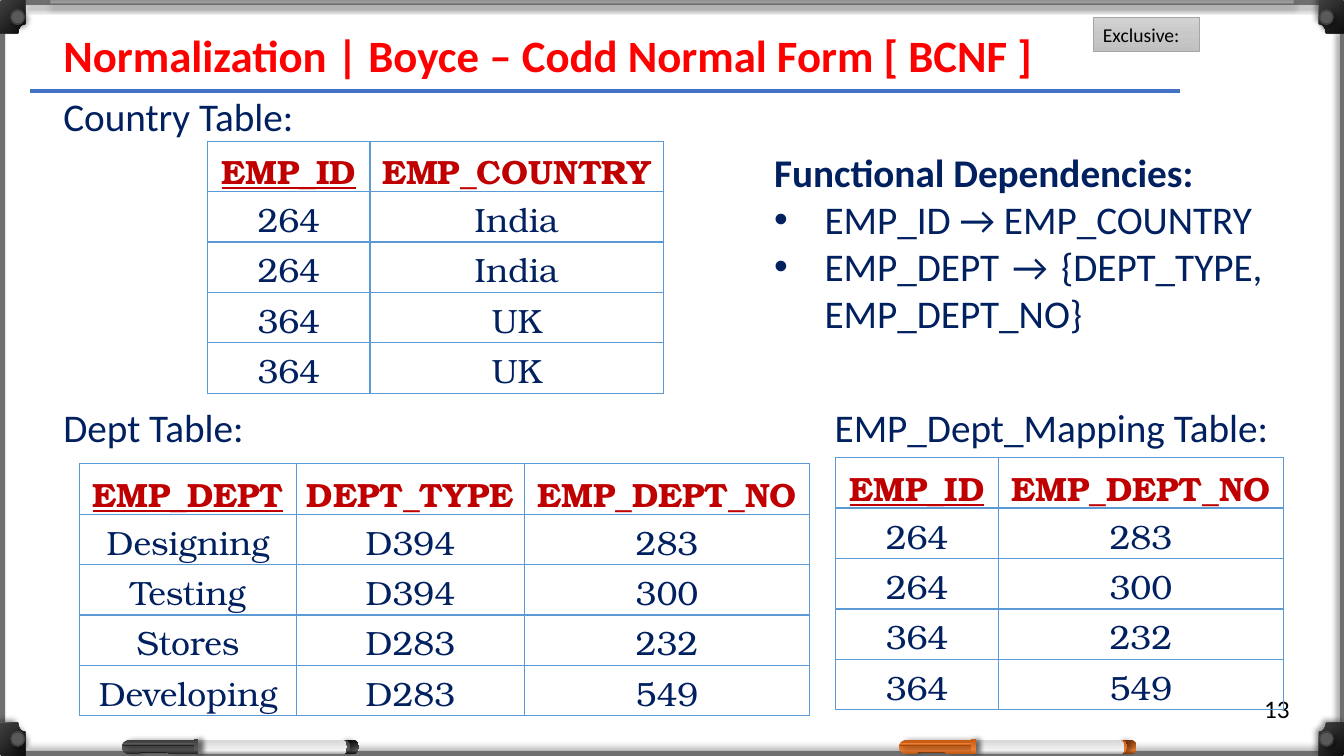
from dataclasses import dataclass
from math import cos, pi, sin

from lxml import etree
from pptx import Presentation, util as u
from pptx.dml.color import RGBColor
from pptx.enum import shapes, text
from pptx.oxml import ns


@dataclass(frozen=True)
class Theme:
    """Colours, fonts and type sizes of the slide."""
    title: str = "FF0000"
    body: str = "002060"
    header: str = "C00000"
    black: str = "000000"
    rule: str = "4472C4"
    grid: str = "5B9BD5"
    frame: str = "706F6F"
    gloss: str = "D9D9D9"
    screw: str = "404040"
    screw_head: str = "595959"
    badge_line: str = "A5A5A5"
    badge: tuple = ((0, "D2D2D2"), (50, "C8C8C8"), (100, "C0C0C0"))
    corner: tuple = ((0, "404040"), (100, "0D0D0D"))
    barrel: tuple = ((8, "D9D9D9"), (74, "F2F2F2"), (100, "A6A6A6"))
    black_pen: tuple = ("0D0D0D", "404040", "595959", "262626")
    orange_pen: tuple = ("843C0B", "C55A11", "ED7D31", "C55A11")
    font: str = "Calibri"
    table_font: str = "TeX Gyre Bonum"
    title_size: int = 32
    body_size: int = 28
    table_size: int = 24
    number_size: int = 18
    badge_size: int = 14


THEME = Theme()
WIDTH, HEIGHT = 13.33, 7.5
KINDS = shapes.MSO_SHAPE


def inches(*lengths):
    """Turn plain numbers into lengths."""
    return [u.Inches(length) for length in lengths]


def add_xml(parent, tag, **attributes):
    """Append a drawing element to its parent."""
    return etree.SubElement(parent, ns.qn(tag), {k: str(v) for k, v in attributes.items()})


def paint(shape, fill, shadow=None, angle=90, alpha=None):
    """Give a shape a solid or gradient fill, no line and an optional shadow angle."""
    if isinstance(fill, str):
        shape.fill.solid()
        shape.fill.fore_color.rgb = RGBColor.from_string(fill)
        if alpha is not None:
            add_xml(next(shape.element.spPr.iter(ns.qn("a:srgbClr"))), "a:alpha", val=alpha * 1000)
    else:
        shape.fill.gradient()
        shape.fill.gradient_angle = 360 - angle
        stops = next(shape.element.spPr.iter(ns.qn("a:gsLst")))
        for stop in list(stops):
            stops.remove(stop)
        for position, color in fill:
            add_xml(add_xml(stops, "a:gs", pos=position * 1000), "a:srgbClr", val=color)
    shape.line.fill.background()
    shape.shadow.inherit = False
    if shadow is not None:
        effects = shape.element.spPr.find(ns.qn("a:effectLst"))
        outer = add_xml(effects, "a:outerShdw", blurRad=u.Pt(4), dist=u.Pt(3),
                        dir=shadow * 60000, algn="ctr", rotWithShape=0)
        add_xml(add_xml(outer, "a:srgbClr", val=THEME.black), "a:alpha", val=40000)


def add_preset(slide, kind, box, fill, **style):
    """Add a painted preset shape."""
    shape = slide.shapes.add_shape(kind, *inches(*box))
    paint(shape, fill, **style)
    return shape


def add_outline(slide, points, fill, **style):
    """Add a painted closed outline through the points."""
    points = [(x * 1000, y * 1000) for x, y in points]
    builder = slide.shapes.build_freeform(*points[0], scale=u.Inches(1) / 1000)
    builder.add_line_segments(points[1:], close=True)
    paint(builder.convert_to_shape(), fill, **style)


def arc(x, y, radius_x, radius_y, start, end, steps=10):
    """List points along an elliptical arc, with angles in degrees."""
    angles = [(start + (end - start) * i / steps) * pi / 180 for i in range(steps + 1)]
    return [(x + radius_x * cos(a), y + radius_y * sin(a)) for a in angles]


def add_corner(slide, right, bottom):
    """Add a frame corner with its screw, mirrored to the given side."""
    def place(x, y):
        return (WIDTH - x if right else x), (HEIGHT - y if bottom else y)

    points = (arc(0.03, 0.03, 0.03, 0.03, 180, 270) + [(0.25, 0)]
              + arc(0.25, 0.33, 0.07, 0.09, 270, 180) + [(0, 0.33)])
    add_outline(slide, [place(x, y) for x, y in points], THEME.corner, shadow=225, angle=45)
    for width, height, color, shadow in ((0.15, 0.16, THEME.screw, 45),
                                         (0.12, 0.12, THEME.screw_head, None)):
        x, y = place(0.175, 0.17)
        add_preset(slide, KINDS.OVAL, (x - width / 2, y - height / 2, width, height),
                   color, shadow=shadow)


def add_pen(slide, left, top, colors):
    """Add a marker pen with its cap, clip, barrel and tip."""
    deep, shade, bright, edge = colors
    middle = top + 0.08
    sheen = ((0, shade), (73, bright), (100, edge))
    tip = [(left + 2.18, top + 0.01)] + arc(left + 2.29, middle, 0.06, 0.07, -90, 90)
    add_outline(slide, tip + [(left + 2.18, top + 0.14)], ((0, deep), (74, bright), (100, deep)))
    add_preset(slide, KINDS.OVAL, (left + 2.15, top + 0.01, 0.11, 0.13), sheen, shadow=0)
    barrel = arc(left + 2.19, middle, 0.04, 0.07, -90, 90) + arc(left + 0.75, middle, 0.01, 0.07, 90, 270)
    add_outline(slide, barrel, THEME.barrel)
    add_preset(slide, KINDS.RECTANGLE, (left + 0.11, top + 0.11, 0.41, 0.03),
               ((71, deep), (100, shade)))
    notch = [(0.75, 0.01), (0.75, 0.15), (0.47, 0.15), (0.45, 0.13), (0.18, 0.13), (0.16, 0.15)]
    cap = [(left + x, top + y) for x, y in notch] + arc(left + 0.08, middle, 0.08, 0.07, 90, 270)
    add_outline(slide, cap, sheen, shadow=0)
    add_preset(slide, KINDS.ROUNDED_RECTANGLE, (left + 0.01, top + 0.04, 0.7, 0.03),
               ((32, bright), (71, shade), (100, deep)), shadow=45)
    add_preset(slide, KINDS.ROUNDED_RECTANGLE, (left + 0.71, top, 0.05, 0.15), sheen, shadow=0)


def add_frame(slide):
    """Add the whiteboard frame with its corners and pens."""
    for box, shadow in (((0.25, 0, 13.08, 0.05), 90), ((0, 0.25, 0.05, 6.92), 180),
                        ((0.25, 7.45, 12.84, 0.05), 270), ((13.29, 0.33, 0.05, 6.92), 180)):
        add_preset(slide, KINDS.RECTANGLE, box, THEME.frame, shadow=shadow)
    for height, alpha in ((0.05, 16), (0.03, 33)):
        add_preset(slide, KINDS.RECTANGLE, (0.5, 0.02 - height / 2, 12.33, height),
                   THEME.gloss, shadow=90, alpha=alpha)
    for right in (False, True):
        for bottom in (False, True):
            add_corner(slide, right, bottom)
    add_pen(slide, 1.21, 7.33, THEME.black_pen)
    add_pen(slide, 8.92, 7.33, THEME.orange_pen)


def write(paragraph, words, size, color, bold=False, font=THEME.font, align=text.PP_ALIGN.LEFT):
    """Fill a paragraph and set its type."""
    paragraph.text = words
    paragraph.alignment = align
    paragraph.font.name = font
    paragraph.font.size = u.Pt(size)
    paragraph.font.bold = bold
    paragraph.font.color.rgb = RGBColor.from_string(color)


def add_text(slide, box, words, size=THEME.body_size, color=THEME.body, bold=False):
    """Add a wrapped text box with one paragraph and return its frame."""
    frame = slide.shapes.add_textbox(*inches(*box)).text_frame
    frame.word_wrap = True
    write(frame.paragraphs[0], words, size, color, bold)
    return frame


def add_heading(slide, box):
    """Add the title, its rule and the badge."""
    left, top, width, height = box
    rule = slide.shapes.add_connector(shapes.MSO_CONNECTOR.STRAIGHT, *inches(0.3, 0.9, 11.7, 0.9))
    rule.line.color.rgb = RGBColor.from_string(THEME.rule)
    rule.line.width = u.Pt(3)
    add_xml(rule.element.spPr, "a:effectLst")
    badge = add_preset(slide, KINDS.RECTANGLE, (left + 10.31, top - 0.06, 1.06, 0.34), THEME.badge)
    badge.line.color.rgb = RGBColor.from_string(THEME.badge_line)
    badge.line.width = u.Pt(0.5)
    write(badge.text_frame.paragraphs[0], "Exclusive:", THEME.badge_size, THEME.black)
    add_text(slide, box, "Normalization | Boyce – Codd Normal Form [ BCNF ]",
             THEME.title_size, THEME.title, True)


def add_relation(slide, caption, caption_box, left, top, columns, rows):
    """Add a captioned table whose first column is the underlined key."""
    add_text(slide, caption_box, caption)
    table = slide.shapes.add_table(len(rows), len(columns),
                                   *inches(left, top, sum(columns), 0.5 * len(rows))).table
    table.first_row = table.horz_banding = False
    for column, width in zip(table.columns, columns):
        column.width = u.Inches(width)
    for i, row in enumerate(rows):
        for j, words in enumerate(row):
            cell = table.cell(i, j)
            cell.margin_left = cell.margin_right = u.Inches(0.07)
            cell.vertical_anchor = text.MSO_ANCHOR.MIDDLE
            for side in "LRTB":
                line = add_xml(cell._tc.get_or_add_tcPr(), f"a:ln{side}", w=u.Pt(1))
                add_xml(add_xml(line, "a:solidFill"), "a:srgbClr", val=THEME.grid)
            cell.fill.background()
            paragraph = cell.text_frame.paragraphs[0]
            write(paragraph, words, THEME.table_size, THEME.body if i else THEME.header,
                  i == 0, THEME.table_font, text.PP_ALIGN.CENTER)
            paragraph.font.underline = i == 0 and j == 0


def add_dependencies(slide, box):
    """Add the bulleted list of functional dependencies."""
    frame = add_text(slide, box, "Functional Dependencies:", bold=True)
    for words in ("EMP_ID → EMP_COUNTRY", "EMP_DEPT → {DEPT_TYPE, EMP_DEPT_NO}"):
        paragraph = frame.add_paragraph()
        write(paragraph, words, THEME.body_size, THEME.body, align=text.PP_ALIGN.JUSTIFY)
        properties = paragraph._p.get_or_add_pPr()
        properties.set("marL", str(u.Inches(0.5)))
        properties.set("indent", str(-u.Inches(0.5)))
        bullet_font = etree.Element(ns.qn("a:buFont"), typeface="Arial")
        bullet = etree.Element(ns.qn("a:buChar"), char="•")
        properties.insert(0, bullet_font)
        properties.insert(1, bullet)


def main():
    """Build and save the slide."""
    presentation = Presentation()
    presentation.slide_width, presentation.slide_height = inches(WIDTH, HEIGHT)
    slide = presentation.slides.add_slide(presentation.slide_layouts[6])
    add_frame(slide)
    add_text(slide, (12.44, 6.83, 0.5, 0.4), "13", THEME.number_size, THEME.black)
    add_heading(slide, (0.53, 0.23, 9.98, 0.64))
    add_relation(slide, "Country Table:", (0.53, 0.87, 2.82, 0.57), 2.06, 1.4, (1.61, 2.91),
                 [("EMP_ID", "EMP_COUNTRY"), ("264", "India"), ("264", "India"),
                  ("364", "UK"), ("364", "UK")])
    add_relation(slide, "Dept Table:", (0.53, 3.95, 2.82, 0.57), 0.79, 4.6, (2.15, 2.26, 2.83),
                 [("EMP_DEPT", "DEPT_TYPE", "EMP_DEPT_NO"), ("Designing", "D394", "283"),
                  ("Testing", "D394", "300"), ("Stores", "D283", "232"),
                  ("Developing", "D283", "549")])
    add_relation(slide, "EMP_Dept_Mapping Table:", (8.18, 3.95, 4.65, 0.57), 8.29, 4.54, (1.61, 2.83),
                 [("EMP_ID", "EMP_DEPT_NO"), ("264", "283"), ("264", "300"),
                  ("364", "232"), ("364", "549")])
    add_dependencies(slide, (7.58, 1.42, 5.04, 1.99))
    presentation.save("out.pptx")


if __name__ == "__main__":
    main()
